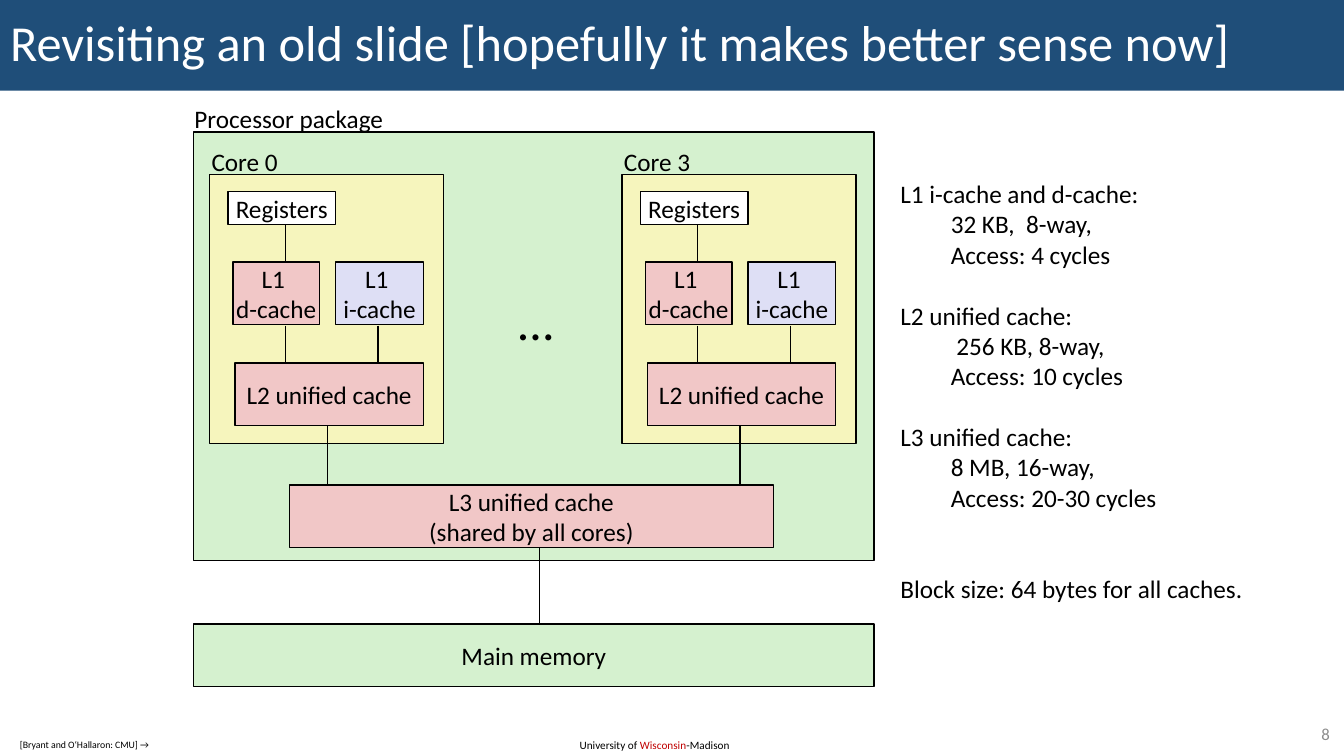
from lxml import etree
from pptx import Presentation
from pptx.dml.color import RGBColor
from pptx.enum.shapes import MSO_CONNECTOR, MSO_SHAPE
from pptx.enum.text import MSO_ANCHOR as ANCHOR, MSO_AUTO_SIZE as AUTO_SIZE, PP_ALIGN as ALIGN
from pptx.oxml.ns import qn
from pptx.util import Pt

PX = 9144
FONT = "Calibri"
BLACK, WHITE = "000000", "FFFFFF"
NAVY, GREEN, YELLOW, PINK, LILAC = "1F4E79", "D5F1CF", "F6F5BD", "F1C7C7", "DEDFF5"
DETAILS = [
    ("L1 i-cache and d-cache:", 0, 0),
    ("32 KB,  8-way,", 1, 0),
    ("Access: 4 cycles", 1, 0),
    ("L2 unified cache:", 0, 22),
    (" 256 KB, 8-way,", 1, 0),
    ("Access: 10 cycles", 1, 0),
    ("L3 unified cache:", 0, 22),
    ("8 MB, 16-way,", 1, 0),
    ("Access: 20-30 cycles", 1, 0),
    ("Block size: 64 bytes for all caches.", 0, 44),
]


def color(code):
    return RGBColor.from_string(code)


def emu(*lengths):
    return [length * PX for length in lengths]


def add_span(para, text, size, ink=BLACK):
    span = para.add_run()
    span.text = text
    span.font.name = FONT
    span.font.size = Pt(size)
    span.font.color.rgb = color(ink)


def move(shape, left, top, width, height):
    shape.left, shape.top, shape.width, shape.height = emu(left, top, width, height)


def add_block(page, left, top, width, height, fill, lines=(), wrap=True):
    block = page.shapes.add_shape(MSO_SHAPE.RECTANGLE, *emu(left, top, width, height))
    block.shadow.inherit = False
    block.fill.solid()
    block.fill.fore_color.rgb = color(fill)
    block.line.color.rgb = color(BLACK)
    block.line.width = Pt(1)
    frame = block.text_frame
    frame.word_wrap = wrap
    frame.vertical_anchor = ANCHOR.MIDDLE
    for index, text in enumerate(lines):
        para = frame.add_paragraph() if index else frame.paragraphs[0]
        para.alignment = ALIGN.CENTER
        add_span(para, text, 18)


def add_label(page, left, top, width, height, spans, size=18, align=ALIGN.LEFT,
              wrap=True, anchor=ANCHOR.TOP):
    label = page.shapes.add_textbox(*emu(left, top, width, height))
    frame = label.text_frame
    frame.word_wrap = wrap
    frame.vertical_anchor = anchor
    para = frame.paragraphs[0]
    para.alignment = align
    for text, ink in spans:
        add_span(para, text, size, ink)


def add_wire(page, x, top, bottom):
    wire = page.shapes.add_connector(MSO_CONNECTOR.STRAIGHT, *emu(x, top, x, bottom))
    wire.line.color.rgb = color(BLACK)
    wire.line.width = Pt(1)
    etree.SubElement(wire._element.spPr, qn("a:effectLst"))


def add_title(page, left, top, width, height):
    title = page.shapes.title
    move(title, left, top, width, height)
    title.fill.solid()
    title.fill.fore_color.rgb = color(NAVY)
    frame = title.text_frame
    frame.auto_size = AUTO_SIZE.NONE
    frame.word_wrap = True
    frame.vertical_anchor = ANCHOR.MIDDLE
    para = frame.paragraphs[0]
    para.alignment = ALIGN.LEFT
    para.line_spacing = 0.9
    add_span(para, "Revisiting an old slide [hopefully it makes better sense now]", 36, WHITE)


def add_core(page, left, top, width, height, name):
    add_block(page, left, top, width, height, YELLOW)
    add_label(page, left - 8, top - 33, 87, 40, [(name, BLACK)], wrap=False)
    add_block(page, left + 18, top + 17, 107, 33, WHITE, ["Registers"], False)
    add_block(page, left + 23, top + 87, 86, 62, PINK, ["L1 ", "d-cache"], False)
    add_block(page, left + 125, top + 87, 87, 62, LILAC, ["L1 ", "i-cache"], False)
    add_block(page, left + 25, top + 187, 187, 62, PINK, ["L2 unified cache"])
    for x, start, end in [(75, 50, 87), (75, 150, 187), (167, 150, 187), (117, 250, 308)]:
        add_wire(page, left + x, top + start, top + end)


def add_processor(page, left, top, width, height):
    add_block(page, left, top, width, height, GREEN)
    add_label(page, left - 9, top - 33, 212, 40, [("Processor package", BLACK)], wrap=False)
    for offset, name in [(16, "Core 0"), (425, "Core 3")]:
        add_core(page, left + offset, top + 42, 232, 267, name)
    add_label(page, left + 300, top + 152, 79, 71, [("…", BLACK)], 36, ALIGN.CENTER)
    add_block(page, left + 95, top + 350, 480, 62, PINK,
              ["L3 unified cache", "(shared by all cores)"])
    add_block(page, left, top + 488, width, 62, GREEN, ["Main memory"])
    add_wire(page, left + 343, top + 413, top + 488)


def add_details(page, left, top, width, height):
    body = page.placeholders[1]
    move(body, left, top, width, height)
    frame = body.text_frame
    frame.auto_size = AUTO_SIZE.NONE
    frame.word_wrap = True
    frame.vertical_anchor = ANCHOR.TOP
    for index, (text, level, gap) in enumerate(DETAILS):
        para = frame.add_paragraph() if index else frame.paragraphs[0]
        para.level = level
        para.alignment = ALIGN.LEFT
        para.space_before = Pt(gap)
        properties = para._p.get_or_add_pPr()
        properties.set("marL", str(level * 50 * PX))
        properties.set("indent", "0")
        etree.SubElement(properties, qn("a:buNone"))
        add_span(para, text, 18)


def add_footer(page, left, top, width):
    add_label(page, left + 10, top, 150, 22, [("[Bryant and O‘Hallaron: CMU] →", BLACK)], 7)
    add_label(page, left + 565, top, 172, 24,
              [("University of ", BLACK), ("Wisconsin", "C00000"), ("-Madison", BLACK)], 8)
    add_label(page, left + width - 80, top - 15, 76, 29, [("8", "8C8C8C")], 12,
              ALIGN.RIGHT, anchor=ANCHOR.MIDDLE)


def main():
    deck = Presentation()
    deck.slide_width, deck.slide_height = emu(1333, 750)
    page = deck.slides.add_slide(deck.slide_layouts[1])
    add_title(page, 0, 0, 1333, 90)
    add_processor(page, 192, 131, 675, 425)
    add_details(page, 883, 172, 397, 434)
    add_footer(page, 0, 728, 1333)
    deck.save("out.pptx")


if __name__ == "__main__":
    main()
